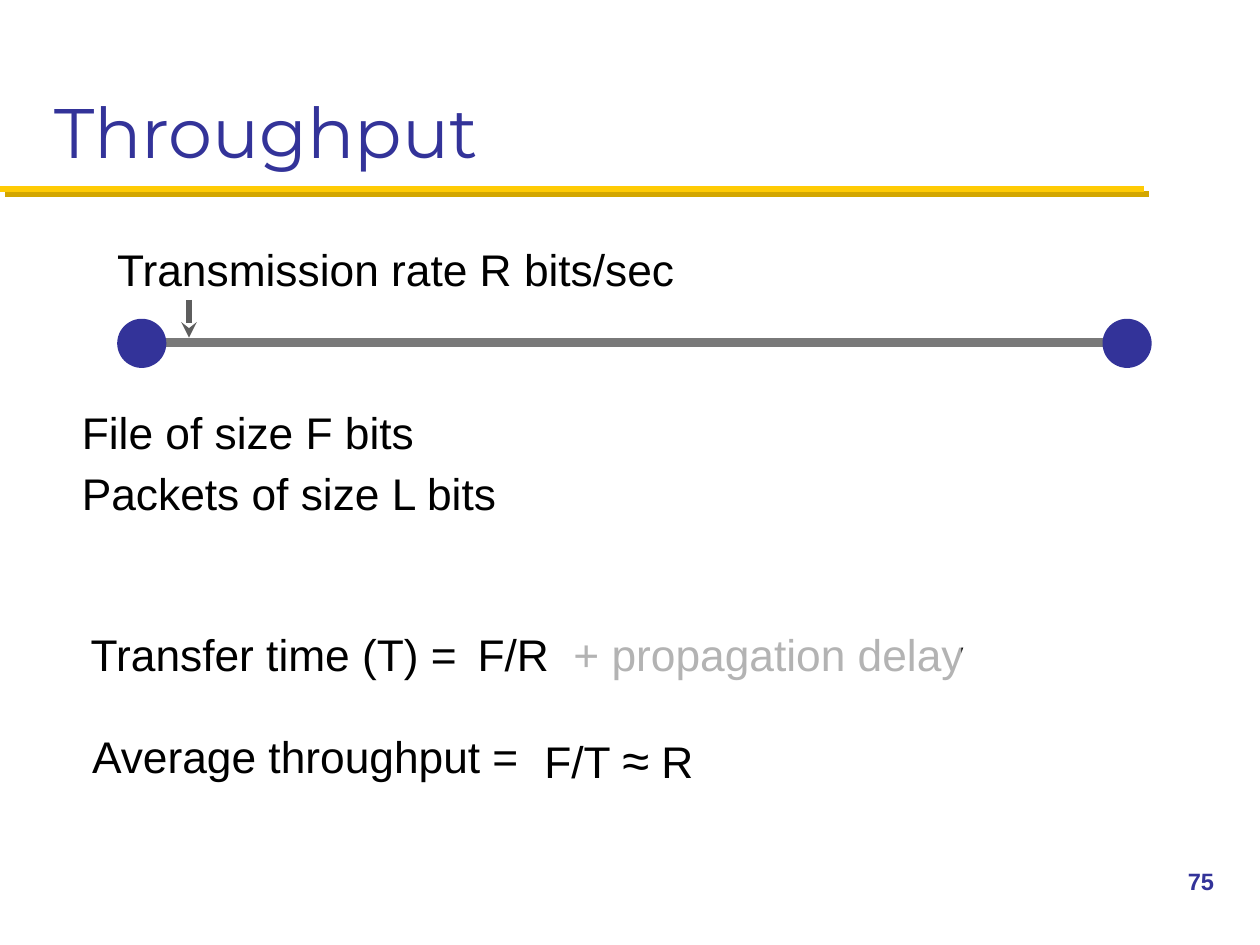
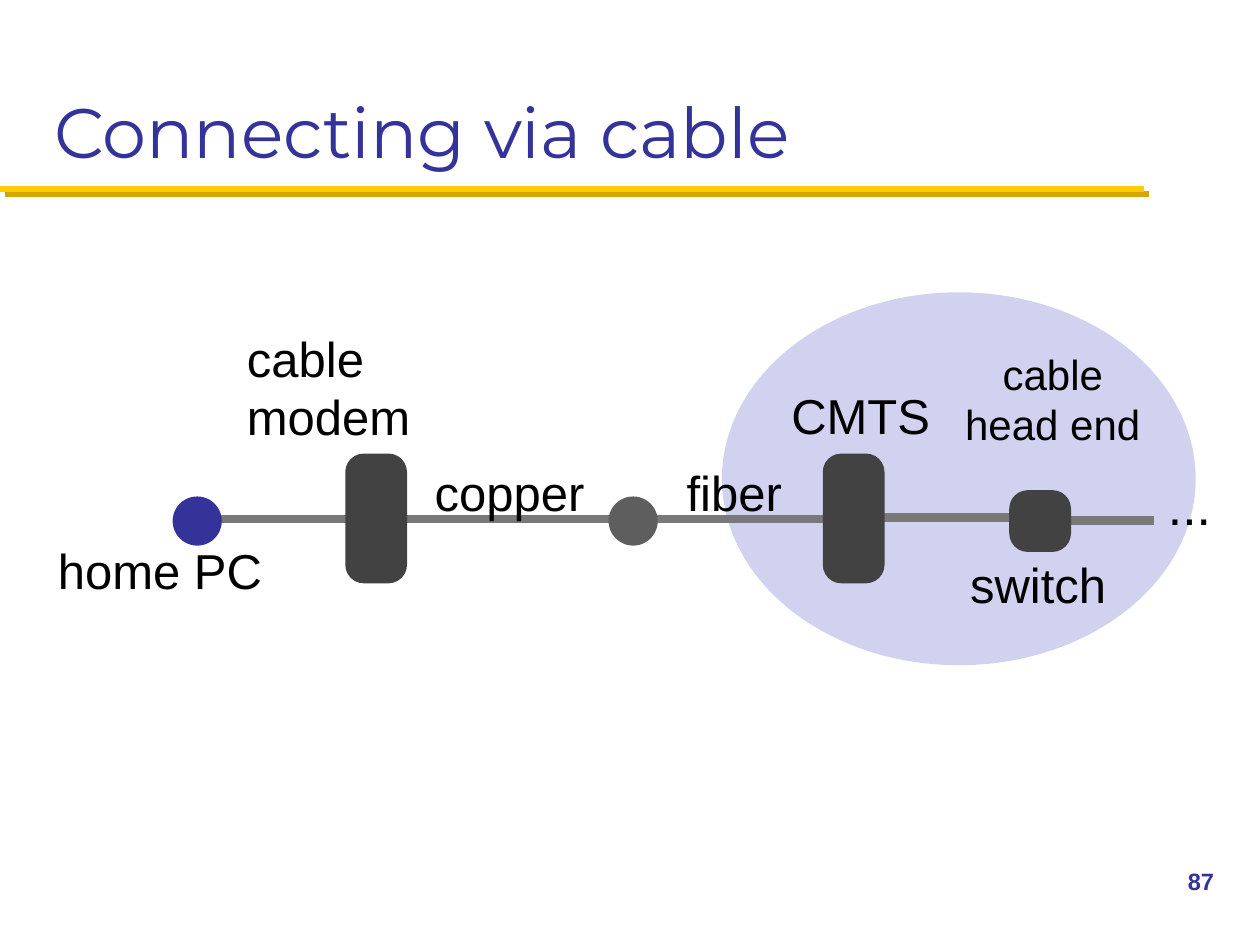
import lxml.etree
import pptx
import pptx.dml.color
import pptx.enum.shapes
import pptx.enum.text
import pptx.oxml.ns
import pptx.util

RGBColor = pptx.dml.color.RGBColor
Shape = pptx.enum.shapes.MSO_SHAPE
Anchor = pptx.enum.text.MSO_ANCHOR
Align = pptx.enum.text.PP_ALIGN
AutoSize = pptx.enum.text.MSO_AUTO_SIZE
qn = pptx.oxml.ns.qn

# Colours
INDIGO = RGBColor(0x33, 0x33, 0x99)
LAVENDER = RGBColor(0xD1, 0xD1, 0xF0)
GOLD = RGBColor(0xFF, 0xCB, 0x05)
DARK_GOLD = RGBColor(0xD3, 0xA6, 0x00)
BLACK = RGBColor(0, 0, 0)
WHITE = RGBColor(0xFF, 0xFF, 0xFF)
CHARCOAL = RGBColor(0x42, 0x42, 0x42)
GREY = RGBColor(0x5E, 0x5E, 0x5E)
LINK_GREY = RGBColor(0x79, 0x79, 0x79)

PX = 9144  # EMU per px, 100 px to the inch
NODE = 39  # diameter of a network node
FORMULA_SIZE = 25.3
LABEL_SIZE = 28


def px(*lengths):
    return [pptx.util.Emu(length * PX) for length in lengths]


class SlideWriter:
    """Holds the shared style and the slide being drawn."""

    title_font = "Montserrat"
    text_font = "Arial"

    def __init__(self, deck):
        self.deck = deck
        self.page = None

    def new_slide(self, title, number):
        self.page = self.deck.slides.add_slide(self.deck.slide_layouts[5])

        # Gold rule with its offset shadow
        rule = self.line(0, 150, 908, 150, GOLD, 3.5)
        effects = rule._element.spPr.find(qn("a:effectLst"))
        shadow = lxml.etree.SubElement(
            effects, qn("a:outerShdw"), blurRad="0", dist="53340",
            dir="2700000", algn="ctr", rotWithShape="0")
        lxml.etree.SubElement(shadow, qn("a:srgbClr"), val=str(DARK_GOLD))

        # Title
        box = self.page.shapes.title
        box.left, box.top, box.width, box.height = px(33, 17, 933, 125)
        frame = box.text_frame
        frame.text = title
        frame.auto_size = AutoSize.NONE
        frame.vertical_anchor = Anchor.BOTTOM
        frame.paragraphs[0].alignment = Align.LEFT
        self.style(frame.paragraphs[0].runs[0], 40, INDIGO, self.title_font)

        # Page number
        box = self.page.shapes.add_textbox(*px(933, 683, 67, 50))
        box.text_frame.text = number
        span = box.text_frame.paragraphs[0].runs[0]
        self.style(span, 13.5, INDIGO, self.text_font)
        span.font.bold = True

    def style(self, span, size, color, font):
        span.font.name = font
        span.font.size = pptx.util.Pt(size)
        span.font.color.rgb = color

    def text(self, left, top, width, height, *spans, wrap=True, align=None):
        """Adds one paragraph made of (wording, size) spans."""
        box = self.page.shapes.add_textbox(*px(left, top, width, height))
        frame = box.text_frame
        frame.word_wrap = wrap
        frame.auto_size = AutoSize.SHAPE_TO_FIT_TEXT
        frame.vertical_anchor = Anchor.MIDDLE
        frame.margin_left = frame.margin_right = px(4)[0]
        frame.margin_top = frame.margin_bottom = px(4)[0]
        para = frame.paragraphs[0]
        para.alignment = align
        for wording, size in spans:
            span = para.add_run()
            span.text = wording
            self.style(span, size, BLACK, self.text_font)

    def shape(self, kind, left, top, width, height, color):
        shape = self.page.shapes.add_shape(kind, *px(left, top, width, height))
        shape.shadow.inherit = False
        shape.fill.solid()
        shape.fill.fore_color.rgb = color
        shape.line.fill.background()
        return shape

    def node(self, left, top, color=INDIGO):
        self.shape(Shape.OVAL, left, top, NODE, NODE, color)

    def device(self, left, top, height):
        device = self.shape(Shape.ROUNDED_RECTANGLE, left, top, 49, height, CHARCOAL)
        device.adjustments[0] = 0.3

    def veil(self, left, top, width, height, opacity):
        """Fades what lies behind it."""
        veil = self.shape(Shape.RECTANGLE, left, top, width, height, WHITE)
        color = veil._element.spPr.find(qn("a:solidFill"))[0]
        lxml.etree.SubElement(color, qn("a:alpha"), val=str(opacity * 1000))

    def line(self, x1, y1, x2, y2, color=LINK_GREY, weight=5):
        line = self.page.shapes.add_connector(
            pptx.enum.shapes.MSO_CONNECTOR.STRAIGHT, *px(x1, y1, x2, y2))
        line.line.color.rgb = color
        line.line.width = pptx.util.Pt(weight)
        lxml.etree.SubElement(line._element.spPr, qn("a:effectLst"))
        return line

    def arrow(self, x1, y1, x2, y2):
        arrow = self.line(x1, y1, x2, y2, GREY, 3)
        lxml.etree.SubElement(arrow.line._get_or_add_ln(), qn("a:tailEnd"), type="stealth")


def draw_throughput(writer):
    writer.new_slide("Throughput", "75")

    # Propagation delay, faded because it is neglected
    writer.text(375, 494, 448, 50, ("F/R  + propagation delay", FORMULA_SIZE))
    writer.veil(437, 471, 326, 98, 70)

    # Link between two nodes
    writer.line(118, 272, 898, 272)
    for left in (93, 875):
        writer.node(left, 253)
    writer.arrow(150, 238, 150, 268)

    # Statements and formulas
    for left, top, width, wording in (
            (89, 188, 544, "Transmission rate R bits/sec"),
            (61, 318, 334, "File of size F bits"),
            (61, 366, 373, "Packets of size L bits"),
            (68, 494, 299, "Transfer time (T) ="),
            (69, 575, 489, "Average throughput =")):
        writer.text(left, top, width, 50, (wording, FORMULA_SIZE))
    writer.text(428, 575, 201, 55, ("F/T ", FORMULA_SIZE), ("≈", 28), (" R", FORMULA_SIZE))


def draw_cable(writer):
    writer.new_slide("Connecting via cable", "87")

    # Head end area
    writer.shape(Shape.OVAL, 573, 232, 376, 296, LAVENDER)

    # Links
    for start, end, y in ((158, 297, 412), (315, 500, 412), (502, 687, 412),
                          (694, 833, 411), (841, 916, 413)):
        writer.line(start, y, end, y)

    # Home PC, junction, modem, CMTS and switch
    writer.node(137, 394)
    writer.node(483, 394, GREY)
    for left, top, height in ((274, 360, 103), (653, 360, 103), (801, 389, 49)):
        writer.device(left, top, height)

    # Labels
    writer.text(42, 425, 229, 55, ("home PC", LABEL_SIZE))
    writer.text(192, 256, 221, 102, ("cable modem", LABEL_SIZE))
    writer.text(755, 272, 161, 89, ("cable head end", 24), align=Align.CENTER)
    for left, top, width, wording in (
            (341, 363, 128, "copper"), (541, 363, 84, "fiber"),
            (624, 302, 119, "CMTS"), (766, 436, 117, "switch")):
        writer.text(left, top, width, 55, (wording, LABEL_SIZE), wrap=False)
    writer.text(923, 372, 43, 58, ("...", 29.5), wrap=False)


def main():
    deck = pptx.Presentation()
    deck.slide_width, deck.slide_height = px(1000, 750)
    writer = SlideWriter(deck)
    draw_throughput(writer)
    draw_cable(writer)
    deck.save("out.pptx")


if __name__ == "__main__":
    main()
